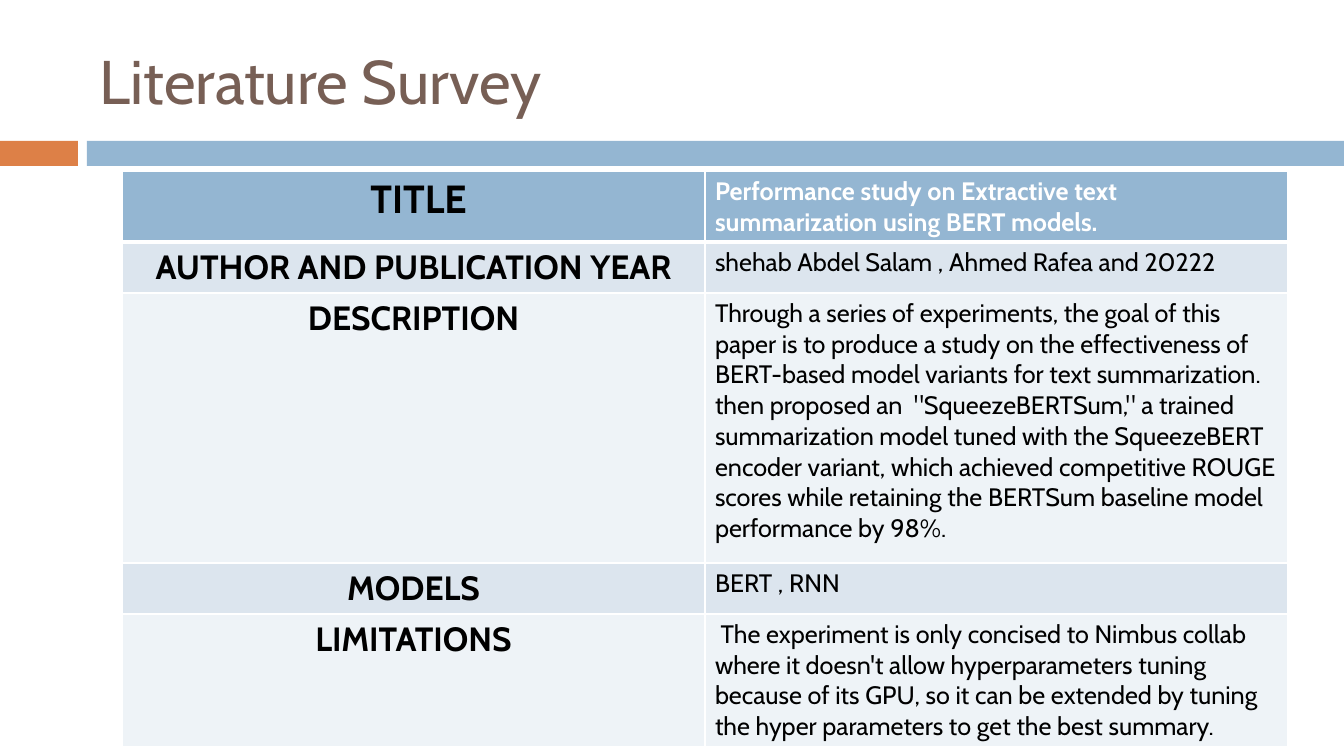
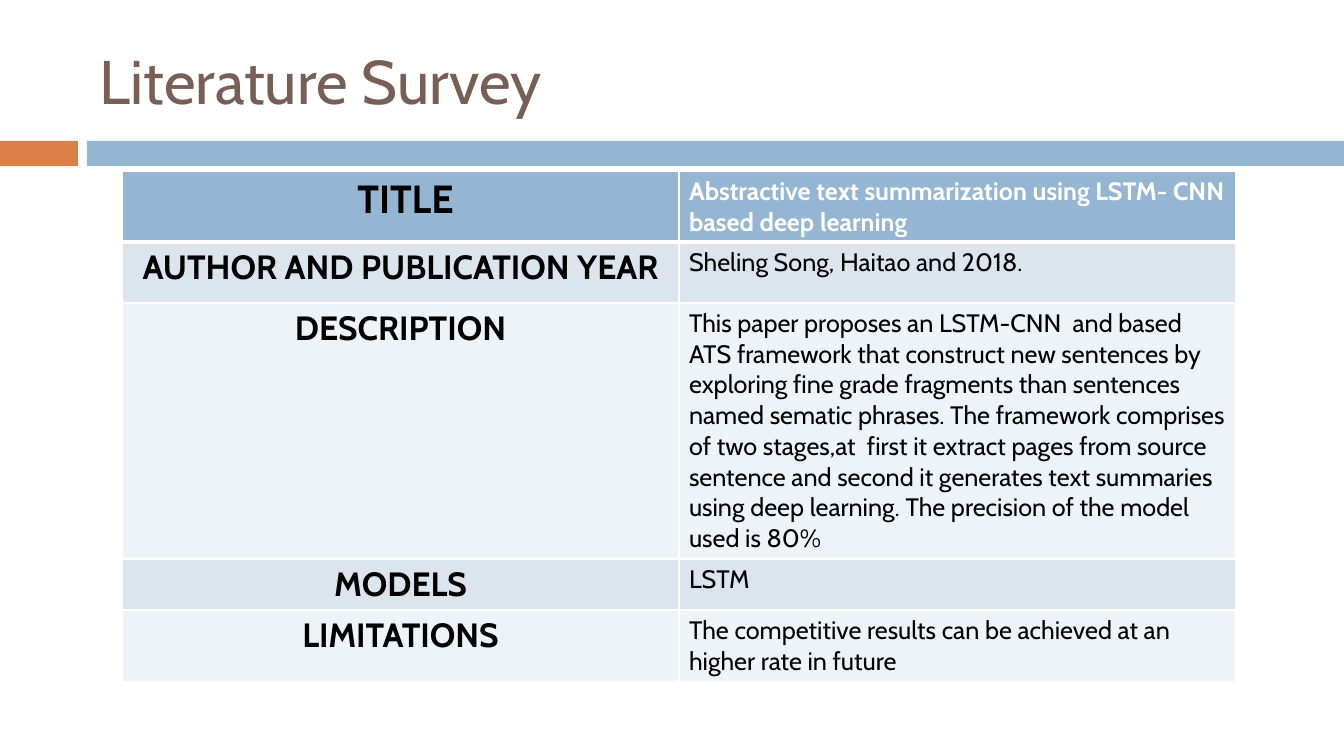
import pptx
import pptx.util
import pptx.dml.color
import pptx.enum.shapes
import pptx.enum.text
import pptx.oxml
import pptx.oxml.ns
from dataclasses import dataclass

HEADING = "Literature Survey"
LABELS = ["TITLE", "AUTHOR AND PUBLICATION YEAR", "DESCRIPTION", "MODELS", "LIMITATIONS"]

# Each paper: column width, row heights (px) and the entries beside the labels
PAPERS = [
    {
        "column": 583,
        "rows": [71, 51, 270, 51, 133],
        "entries": [
            "Performance study on Extractive text summarization using BERT models.",
            "shehab Abdel Salam , Ahmed Rafea and 20222",
            "Through a series of experiments, the goal of this paper is to produce a study "
            "on the effectiveness of BERT-based model variants for text summarization. "
            "then proposed an  \"SqueezeBERTSum,\" a trained summarization model tuned with "
            "the SqueezeBERT encoder variant, which achieved competitive ROUGE scores while "
            "retaining the BERTSum baseline model performance by 98%.",
            "BERT , RNN",
            " The experiment is only concised to Nimbus collab where it doesn't allow "
            "hyperparameters tuning because of its GPU, so it can be extended by tuning "
            "the hyper parameters to get the best summary.",
        ],
    },
    {
        "column": 557,
        "rows": [71, 61, 256, 51, 72],
        "entries": [
            "Abstractive text summarization using LSTM- CNN based deep learning",
            "Sheling Song, Haitao and 2018.",
            "This paper proposes an LSTM-CNN  and based ATS framework that construct new "
            "sentences by exploring fine grade fragments than sentences named sematic "
            "phrases. The framework comprises of two stages,at  first it extract pages from "
            "source sentence and second it generates text summaries using deep learning. "
            "The precision of the model used is 80%",
            "LSTM",
            "The competitive results can be achieved at an higher rate in future",
        ],
    },
]


@dataclass(frozen=True)
class Theme:
    font: str = "Cabin"
    brown: str = "775F55"
    orange: str = "DD8047"
    blue: str = "94B6D2"
    bands: tuple = ("DCE5EE", "EEF3F7")
    white: str = "FFFFFF"
    black: str = "000000"
    heading: int = 44
    first_label: int = 28
    label: int = 24
    body: int = 18
    thin: int = 1
    thick: int = 3


THEME = Theme()
PAGE_WIDTH, PAGE_HEIGHT = 1344, 756
BAND_TOP, BAND_HEIGHT = 141, 25
BANDS = [(0, 78, THEME.orange), (87, PAGE_WIDTH - 87, THEME.blue)]
TABLE_LEFT, TABLE_TOP = 122, 171
FIRST_LABEL_INSET = 20


def px(length):
    return pptx.util.Emu(round(length * 914400 / 100.8))


def rgb(colour):
    return pptx.dml.color.RGBColor.from_string(colour)


def style(para, size, colour, bold=False):
    font = para.font
    font.name, font.size, font.bold = THEME.font, pptx.util.Pt(size), bold
    font.color.rgb = rgb(colour)


def add_frame(page):
    """Heading and the two bands that every page shares."""
    for left, width, colour in BANDS:
        band = page.shapes.add_shape(pptx.enum.shapes.MSO_SHAPE.RECTANGLE,
                                     px(left), px(BAND_TOP), px(width), px(BAND_HEIGHT))
        band.shadow.inherit = False
        band.fill.solid()
        band.fill.fore_color.rgb = rgb(colour)
        band.line.fill.background()
    box = page.shapes.add_textbox(px(90), px(25), px(1198), px(109))
    box.text_frame.word_wrap = True
    box.text_frame.vertical_anchor = pptx.enum.text.MSO_ANCHOR.MIDDLE
    para = box.text_frame.paragraphs[0]
    para.text = HEADING
    style(para, THEME.heading, THEME.brown)


def add_borders(cell, row):
    widths = {"L": THEME.thin, "R": THEME.thin,
              "T": THEME.thick if row == 1 else THEME.thin,
              "B": THEME.thick if row == 0 else THEME.thin}
    properties = cell._tc.get_or_add_tcPr()
    for side, width in widths.items():
        properties.append(pptx.oxml.parse_xml(
            f'<a:ln{side} {pptx.oxml.ns.nsdecls("a")} w="{pptx.util.Pt(width)}">'
            f'<a:solidFill><a:srgbClr val="{THEME.white}"/></a:solidFill></a:ln{side}>'))


def fill_cell(cell, row, text, is_label):
    # Borders come before the fill in the cell's XML
    add_borders(cell, row)
    cell.fill.solid()
    cell.fill.fore_color.rgb = rgb(THEME.bands[(row - 1) % 2] if row else THEME.blue)
    para = cell.text_frame.paragraphs[0]
    para.text = text
    if is_label:
        para.alignment = pptx.enum.text.PP_ALIGN.CENTER
        style(para, THEME.label if row else THEME.first_label, THEME.black, True)
        if row == 0:
            cell.margin_left = px(FIRST_LABEL_INSET)
    else:
        style(para, THEME.body, THEME.black if row else THEME.white, row == 0)


def add_survey(page, paper):
    frame = page.shapes.add_table(len(LABELS), 2, px(TABLE_LEFT), px(TABLE_TOP),
                                  px(2 * paper["column"]), px(sum(paper["rows"])))
    table = frame.table
    for column in table.columns:
        column.width = px(paper["column"])
    for row, (height, *texts) in enumerate(zip(paper["rows"], LABELS, paper["entries"])):
        table.rows[row].height = px(height)
        for column, text in enumerate(texts):
            fill_cell(table.cell(row, column), row, text, column == 0)


def main():
    deck = pptx.Presentation()
    deck.slide_width, deck.slide_height = px(PAGE_WIDTH), px(PAGE_HEIGHT)
    for paper in PAPERS:
        page = deck.slides.add_slide(deck.slide_layouts[6])
        add_frame(page)
        add_survey(page, paper)
    deck.save("out.pptx")


if __name__ == "__main__":
    main()
